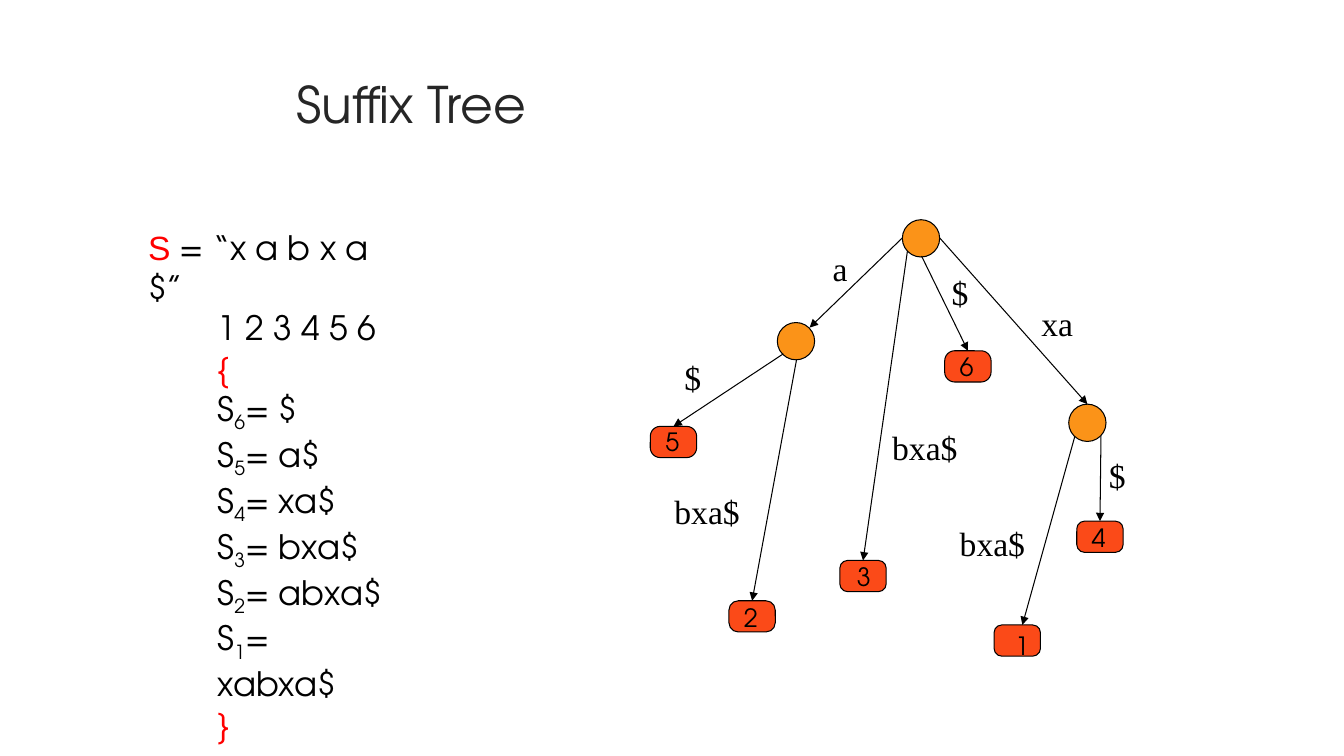
from lxml.etree import SubElement
from pptx import Presentation
from pptx.dml.color import RGBColor
from pptx.enum.shapes import MSO_CONNECTOR as Connector, MSO_SHAPE as Shape
from pptx.enum.text import MSO_ANCHOR as Anchor, MSO_AUTO_SIZE as AutoSize, PP_ALIGN as Align
from pptx.oxml.ns import qn
from pptx.util import Emu, Pt

BLACK = RGBColor(0x00, 0x00, 0x00)
RED = RGBColor(0xFF, 0x00, 0x00)
CHARCOAL = RGBColor(0x26, 0x26, 0x26)
ORANGE = RGBColor(0xFB, 0x93, 0x18)
VERMILION = RGBColor(0xFB, 0x4A, 0x18)
SANS = "TeX Gyre Adventor"
SERIF = "Times New Roman"
NODE_SIZE = 37
LEAF_WIDTH, LEAF_HEIGHT = 46, 31


def px(length):
    return Emu(length * 9144)


def add_text(para, text, size=24, font=SANS, color=BLACK, baseline=0):
    span = para.add_run()
    span.text = text
    span.font.size = Pt(size)
    span.font.name = font
    span.font.color.rgb = color
    if baseline:
        span.font._element.set("baseline", str(baseline * 1000))


class TreeSlide:
    def __init__(self, deck):
        self.page = deck.slides.add_slide(deck.slide_layouts[5])
        self.shapes = self.page.shapes
        self.line_width = Pt(0.75)

    def title(self, text, left, top, width, height):
        box = self.shapes.title
        box.left, box.top, box.width, box.height = map(px, (left, top, width, height))
        box.text_frame.vertical_anchor = Anchor.TOP
        para = box.text_frame.paragraphs[0]
        para.alignment = Align.LEFT
        add_text(para, text, size=36, color=CHARCOAL)

    def text_box(self, left, top, width, height, wrap=True):
        box = self.shapes.add_textbox(*map(px, (left, top, width, height)))
        frame = box.text_frame
        frame.word_wrap = wrap
        frame.auto_size = AutoSize.SHAPE_TO_FIT_TEXT
        return frame

    def label(self, text, left, top, width):
        add_text(self.text_box(left, top, width, 50).paragraphs[0], text, font=SERIF)

    def digit(self, text, left, top):
        add_text(self.text_box(left, top, 34, 40, wrap=False).paragraphs[0], text, size=18)

    def shape(self, kind, left, top, width, height, color):
        shape = self.shapes.add_shape(kind, *map(px, (left, top, width, height)))
        shape.shadow.inherit = False
        shape.fill.solid()
        shape.fill.fore_color.rgb = color
        shape.line.color.rgb = BLACK
        shape.line.width = self.line_width
        return shape

    def node(self, left, top):
        return self.shape(Shape.OVAL, left, top, NODE_SIZE, NODE_SIZE, ORANGE)

    def leaf(self, left, top, roundness):
        shape = self.shape(Shape.ROUNDED_RECTANGLE, left, top, LEAF_WIDTH, LEAF_HEIGHT, VERMILION)
        shape.adjustments[0] = roundness
        return shape

    def arrow(self, begin, end, target=None):
        line = self.shapes.add_connector(Connector.STRAIGHT, *map(px, begin + end))
        if target is not None:
            line.end_connect(target, 0)
        line.line.color.rgb = BLACK
        line.line.width = self.line_width
        SubElement(line.line._get_or_add_ln(), qn("a:tailEnd"), type="triangle")
        SubElement(line._element.spPr, qn("a:effectLst"))

    def suffix_list(self, left, top, width, height, suffixes):
        frame = self.text_box(left, top, width, height)
        para = frame.paragraphs[0]
        add_text(para, "S", font="Arial", color=RED)
        add_text(para, " = “x a b x a $”")

        def indented():
            para = frame.add_paragraph()
            para._p.get_or_add_pPr().set("marL", str(px(69)))
            return para

        add_text(indented(), "1 2 3 4 5 6")
        add_text(indented(), "{", color=RED)
        for number, suffix in suffixes:
            para = indented()
            add_text(para, "S")
            add_text(para, str(number), baseline=-25)
            add_text(para, f"= {suffix}")
        add_text(indented(), "}", color=RED)


def main():
    deck = Presentation()
    deck.slide_width, deck.slide_height = px(1333), px(750)
    slide = TreeSlide(deck)
    slide.title("Suffix Tree", 284, 68, 975, 140)

    word = "xabxa$"
    suffixes = [(number, word[number - 1:]) for number in range(len(word), 0, -1)]
    slide.suffix_list(137, 220, 258, 443, suffixes)

    slide.node(895, 218)
    slide.node(771, 320)
    right_node = slide.node(1060, 401)

    leaves = {}
    for number, left, top, roundness, digit_left, digit_top in [
        (1, 986, 620, 0.25, 997, 620),
        (2, 723, 596, 0.3, 728, 593),
        (3, 833, 556, 0.25, 840, 552),
        (4, 1068, 517, 0.25, 1073, 513),
        (5, 645, 423, 0.32, 650, 418),
        (6, 937, 348, 0.32, 942, 344),
    ]:
        leaves[number] = slide.leaf(left, top, roundness)
        slide.digit(str(number), digit_left, digit_top)

    for begin, end, target in [
        ((895, 236), (803, 325), None),
        ((932, 236), (1079, 401), right_node),
        ((900, 249), (856, 556), leaves[3]),
        ((914, 254), (960, 348), leaves[6]),
        ((777, 351), (668, 423), leaves[5]),
        ((790, 357), (746, 596), leaves[2]),
        ((1066, 433), (1014, 620), None),
        ((1092, 433), (1091, 517), leaves[4]),
    ]:
        slide.arrow(begin, end, target)

    for text, left, top, width in [
        ("a", 816, 241, 31),
        ("xa", 1023, 296, 53),
        ("$", 934, 265, 39),
        ("$", 669, 349, 39),
        ("$", 1090, 446, 39),
        ("bxa$", 659, 482, 102),
        ("bxa$", 875, 419, 91),
        ("bxa$", 942, 514, 91),
    ]:
        slide.label(text, left, top, width)

    deck.save("out.pptx")


if __name__ == "__main__":
    main()
